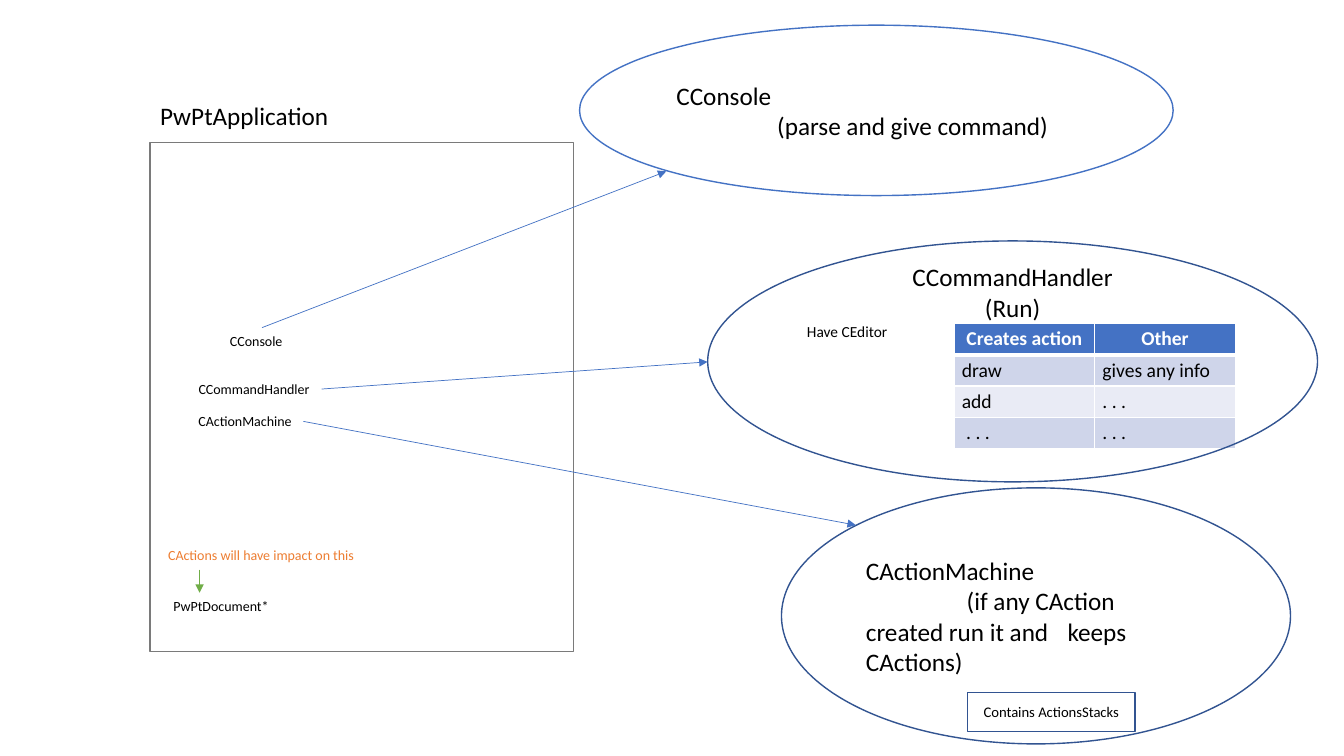
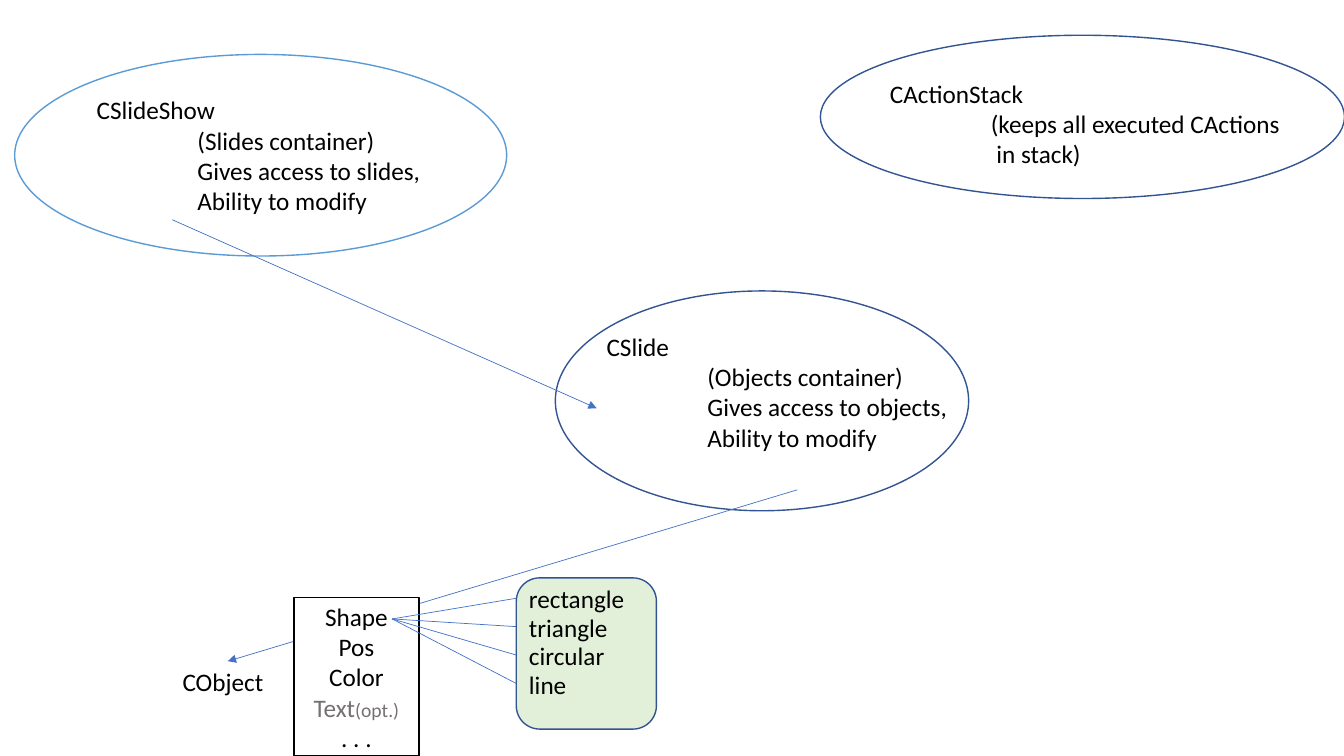
from dataclasses import dataclass, field

from lxml import etree
from pptx import Presentation
from pptx import util as u
from pptx.dml import color as dml
from pptx.enum import shapes, text
from pptx.oxml import ns


@dataclass(frozen=True)
class Theme:
    font: str = "Calibri"
    colors: dict = field(default_factory=lambda: {
        "black": "000000", "white": "FFFFFF", "gray": "767171",
        "frame": "7A7A7A", "blue": "4472C4", "navy": "325491",
        "sky": "5B9BD5", "orange": "ED7D31", "green": "70AD47",
        "mint": "E2F0D9", "band_dark": "CFD5EA", "band_light": "E9EBF5"})
    sizes: dict = field(default_factory=lambda: {
        "body": 18, "table": 14, "note": 11, "badge": 10.5, "small": 10})
    outline: float = 1
    link: float = 0.5
    tab_stops: tuple = (72, 144, 216)

    def rgb(self, name):
        return dml.RGBColor.from_string(self.colors[name])


THEME = Theme()
LEFT, CENTER = text.PP_ALIGN.LEFT, text.PP_ALIGN.CENTER
TOP, MIDDLE = text.MSO_ANCHOR.TOP, text.MSO_ANCHOR.MIDDLE
KINDS = shapes.MSO_SHAPE


def points(*values):
    return [u.Pt(value) for value in values]


def set_values(target, values):
    for name, value in values.items():
        setattr(target, name, value)


def part(content, size="body", color="black", bold=False):
    return content, size, color, bold


def add_tab_stops(paragraph):
    stops = etree.SubElement(paragraph._p.get_or_add_pPr(),
                             ns.qn("a:tabLst"))
    for position in points(*THEME.tab_stops):
        etree.SubElement(stops, ns.qn("a:tab"), pos=str(position), algn="l")


def write_paragraph(paragraph, parts, align):
    paragraph.alignment = align
    if any("\t" in content for content, *_ in parts):
        add_tab_stops(paragraph)
    for content, size, color, bold in parts:
        run = paragraph.add_run()
        run.text = content
        set_values(run.font, {"name": THEME.font, "bold": bold,
                              "size": u.Pt(THEME.sizes[size])})
        run.font.color.rgb = THEME.rgb(color)


def write_text(frame, lines, align=LEFT, frame_format=None):
    set_values(frame, {"word_wrap": True, **(frame_format or {})})
    for index, line in enumerate(lines):
        paragraph = frame.add_paragraph() if index else frame.paragraphs[0]
        parts = [part(line)] if isinstance(line, str) else line
        write_paragraph(paragraph, parts, align)


def add_outline(slide, kind, box, line, fill=None, lines=(), align=LEFT,
                frame_format=None):
    shape = slide.shapes.add_shape(kind, *points(*box))
    shape.shadow.inherit = False
    if fill:
        shape.fill.solid()
        shape.fill.fore_color.rgb = THEME.rgb(fill)
    else:
        shape.fill.background()
    shape.line.color.rgb = THEME.rgb(line)
    shape.line.width = u.Pt(THEME.outline)
    write_text(shape.text_frame, lines, align,
               {"vertical_anchor": MIDDLE, **(frame_format or {})})
    return shape


def add_label(slide, box, lines, wrap=True):
    label = slide.shapes.add_textbox(*points(*box))
    write_text(label.text_frame, lines, frame_format={
        "word_wrap": wrap, "vertical_anchor": TOP,
        "auto_size": text.MSO_AUTO_SIZE.SHAPE_TO_FIT_TEXT})


def add_link(slide, start, end, color="blue", arrow=True):
    link = slide.shapes.add_connector(
        shapes.MSO_CONNECTOR.STRAIGHT, *points(*start, *end))
    link.line.color.rgb = THEME.rgb(color)
    link.line.width = u.Pt(THEME.link)
    if arrow:
        etree.SubElement(link.line._get_or_add_ln(), ns.qn("a:tailEnd"),
                         type="triangle")
    etree.SubElement(link._element.spPr, ns.qn("a:effectLst"))


def add_border(cell, side, width):
    properties = cell._tc.get_or_add_tcPr()
    line = etree.SubElement(properties, ns.qn(f"a:ln{side}"),
                            w=str(u.Pt(width)))
    fill = etree.SubElement(line, ns.qn("a:solidFill"))
    etree.SubElement(fill, ns.qn("a:srgbClr"), val=THEME.colors["white"])


def format_cell(cell, content, row):
    header = row == 0
    widths = {"L": 1, "R": 1, "T": 3 if row == 1 else 1,
              "B": 3 if header else 1}
    for side, width in widths.items():
        add_border(cell, side, width)
    cell.fill.solid()
    band = "band_dark" if row % 2 else "band_light"
    cell.fill.fore_color.rgb = THEME.rgb("blue" if header else band)
    set_values(cell, dict(zip(
        ("margin_left", "margin_top", "margin_right", "margin_bottom"),
        points(5.5, 2.75, 5.5, 2.75))))
    write_paragraph(
        cell.text_frame.paragraphs[0],
        [part(content, "table", "white" if header else "black", header)],
        CENTER if header else LEFT)


def add_grid(slide, box, rows):
    table = slide.shapes.add_table(
        len(rows), len(rows[0]), *points(*box)).table
    for row, contents in enumerate(rows):
        for column, content in enumerate(contents):
            format_cell(table.cell(row, column), content, row)


def build_application(slide):
    add_outline(slide, KINDS.RECTANGLE, (107.3, 102, 302.4, 363.6), "frame")
    add_label(slide, (107.3, 68.4, 223.9, 29), ["PwPtApplication"])
    add_outline(slide, KINDS.OVAL, (414, 18, 424, 121.7), "blue", "white",
                ["CConsole", "\t(parse and give command)"])
    add_outline(slide, KINDS.OVAL, (558.2, 348.5, 363.6, 182.9), "navy",
                lines=["CActionMachine",
                       "\t(if any CAction \tcreated run it and \tkeeps CActions)"])
    add_link(slide, (187.2, 234), (475.9, 122.4))
    add_link(slide, (216.7, 301), (611.3, 375.1))
    add_link(slide, (229.7, 277.9), (505.4, 258.5))
    add_link(slide, (142.6, 406.8), (142.6, 423.4), "green")

    members = [
        ((157.2, 234, 59.8, 19.4), "CConsole", "black", True),
        ((134.7, 268.2, 95, 19.4), "CCommandHandler", "black", False),
        ((134.7, 290.9, 82.1, 19.4), "CActionMachine", "black", False),
        ((113, 387, 152.6, 19.4), "CActions will have impact on this",
         "orange", True),
        ((116.8, 423.4, 119.5, 19.4), "PwPtDocument*", "black", True)]
    for box, name, color, wrap in members:
        add_label(slide, box, [[part(name, "small", color)]], wrap)

    add_outline(slide, KINDS.RECTANGLE, (691.2, 494.6, 119.5, 28.1), "navy",
                lines=[[part("Contains ActionsStacks", "badge")]],
                align=CENTER)
    add_grid(slide, (681.5, 231, 200.9, 89.3), [
        ("Creates action", "Other"), ("draw", "gives any info"),
        ("add", ". . ."), (" . . .", ". . .")])
    handler = add_outline(
        slide, KINDS.OVAL, (505.5, 172.1, 435.6, 172.1), "navy",
        lines=["CCommandHandler", "(Run)", [part("Have CEditor", "note")]],
        align=CENTER,
        frame_format={"margin_top": 0, "margin_bottom": u.Pt(86)})
    handler.text_frame.paragraphs[-1].alignment = LEFT


def build_slide_show(slide):
    add_outline(slide, KINDS.OVAL, (10.5, 38.9, 351.4, 144), "sky", "white",
                ["CSlideShow", "\t(Slides container)",
                 "\tGives access to slides,", "\tAbility to modify"])
    add_label(slide, (426.2, 233.1, 286.6, 116.6),
              ["CSlide", "\t(Objects container)",
               "\tGives access to objects,", "\tAbility to modify"])
    add_outline(slide, KINDS.OVAL, (396.7, 207.8, 295.2, 157), "navy")
    add_link(slide, (123.1, 157), (426.2, 291.6))
    add_label(slide, (123.3, 472.3, 79.2, 29), ["CObject"])
    add_link(slide, (569.5, 349.9), (162.7, 472.3))
    add_label(slide, (628.6, 52.2, 313.2, 72.7),
              ["CActionStack", "\t(keeps all executed CActions",
               "\t in stack)"])
    add_outline(slide, KINDS.OVAL, (586, 25.2, 374.4, 116.6), "navy")
    add_outline(slide, KINDS.RECTANGLE, (210, 427, 89.3, 113), "black",
                "white", ["Shape", "Pos", "Color",
                          [part("Text", color="gray"),
                           part("(opt.)", "table", "gray")], ". . ."],
                CENTER)

    kinds = ["rectangle", "triangle", "circular", "line"]
    tops = [412.9 + 20.6 * index for index in range(len(kinds))]
    for top in tops:
        add_link(slide, (280.1, 442.1), (370.1, top + 14.2), arrow=False)
    add_outline(slide, KINDS.ROUNDED_RECTANGLE, (368.8, 412.8, 100.1, 108),
                "navy", "mint")
    for name, top in zip(kinds, tops):
        add_label(slide, (370.8, top, 98.6, 29), [name])


def main():
    presentation = Presentation()
    set_values(presentation, {"slide_width": u.Pt(960),
                              "slide_height": u.Pt(540)})
    for build in (build_application, build_slide_show):
        build(presentation.slides.add_slide(presentation.slide_layouts[6]))
    presentation.save("out.pptx")


main()
